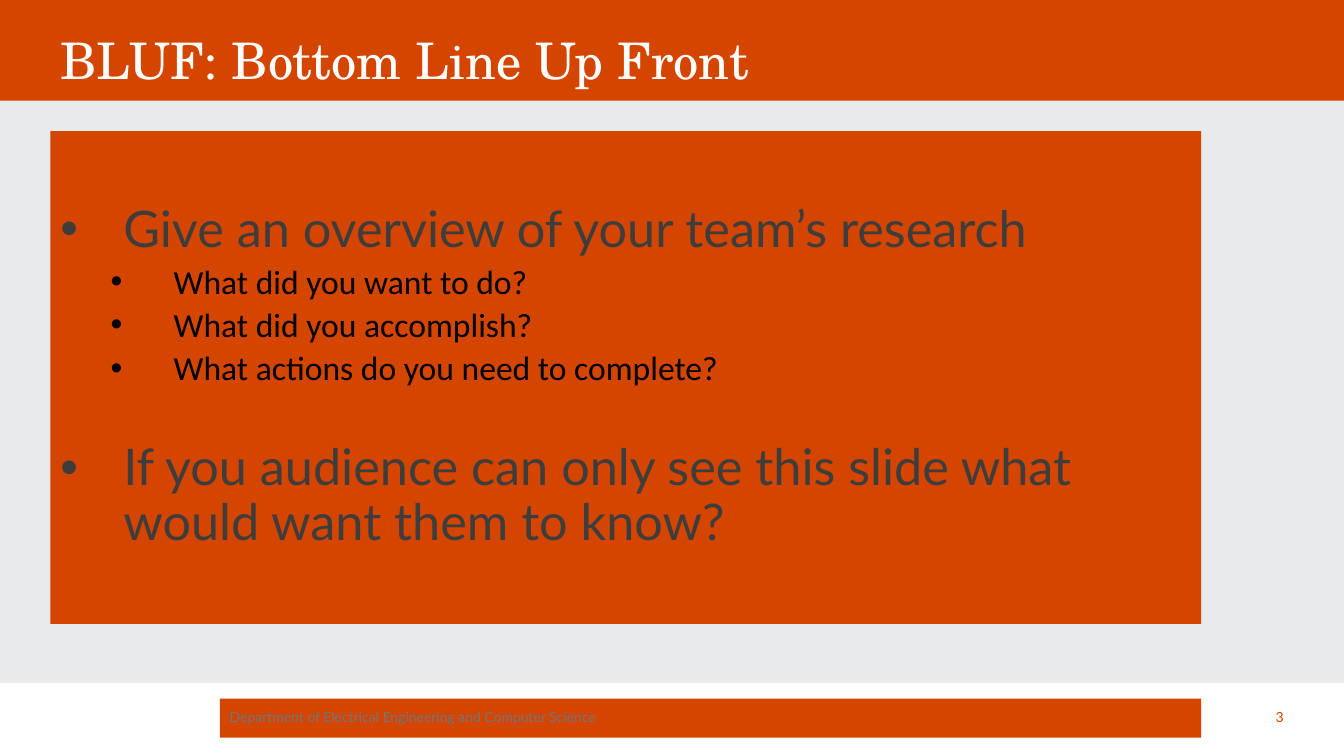
import pptx
import pptx.util
import pptx.dml.color
import pptx.enum.shapes
import pptx.enum.text
from lxml import etree

Pt = pptx.util.Pt
RGB = pptx.dml.color.RGBColor
ALIGN = pptx.enum.text.PP_ALIGN

ORANGE = RGB(0xD4, 0x45, 0x00)
WHITE = RGB(0xFF, 0xFF, 0xFF)
PALE = RGB(0xE8, 0xEA, 0xEB)
DARK = RGB(0x3E, 0x3D, 0x3C)
GREY = RGB(0x6F, 0x77, 0x7D)
BLACK = RGB(0x00, 0x00, 0x00)

WIDTH, HEIGHT = 960, 540
HEAD = 72
FOOT = 488
EDGE = 36
BODY = 822
HANG = 45

# level, space before, text
POINTS = [
    (0, 10, "Give an overview of your team’s research"),
    (1, 5, "What did you want to do?"),
    (1, 5, "What did you accomplish?"),
    (1, 5, "What actions do you need to complete?"),
    (0, 39, "If you audience can only see this slide what would want them to know?"),
]
# font, size, colour for each level
STYLES = [("Lato", 36, DARK), ("Calibri", 24, BLACK)]


def panel(slide, box, fill):
    shape = slide.shapes.add_shape(
        pptx.enum.shapes.MSO_SHAPE.RECTANGLE, *map(Pt, box))
    shape.shadow.inherit = False
    shape.fill.solid()
    shape.fill.fore_color.rgb = fill
    shape.line.fill.background()
    return shape


def frame(shape):
    """Return the text frame of a shape, wrapped and centred in height."""
    text = shape.text_frame
    text.word_wrap = True
    text.vertical_anchor = pptx.enum.text.MSO_ANCHOR.MIDDLE
    return text


def write(para, text, font, size, color, align=ALIGN.LEFT):
    para.text = text
    para.alignment = align
    para.line_spacing = 0.9
    para.font.name = font
    para.font.size = Pt(size)
    para.font.color.rgb = color


def bullet(para, level):
    para.level = level
    props = para._p.get_or_add_pPr()
    props.set("marL", str(Pt(HANG + EDGE * level)))
    props.set("indent", str(-Pt(HANG)))
    space = pptx.oxml.ns.qn
    font = etree.SubElement(props, space("a:buFont"))
    font.set("typeface", "Arial")
    mark = etree.SubElement(props, space("a:buChar"))
    mark.set("char", "•")


def backdrop(slide):
    panel(slide, (0, 0, WIDTH, HEIGHT), PALE)
    panel(slide, (0, 0, WIDTH, HEAD), ORANGE)
    panel(slide, (0, FOOT, WIDTH, HEIGHT - FOOT), WHITE)


def title(slide, box, text):
    para = frame(panel(slide, box, ORANGE)).paragraphs[0]
    write(para, text, "TeX Gyre Schola", 36, WHITE)


def content(slide, box, points):
    text = frame(panel(slide, box, ORANGE))
    for index, (level, gap, words) in enumerate(points):
        para = text.add_paragraph() if index else text.paragraphs[0]
        write(para, words, *STYLES[level])
        para.space_before = Pt(gap)
        bullet(para, level)


def footer(slide, box, text, number):
    """Place the footer bar in the box and the page number to its right."""
    left, top, width, height = box
    para = frame(panel(slide, box, ORANGE)).paragraphs[0]
    write(para, text, "Lato", 10, GREY)
    para.space_before = Pt(10)
    page = slide.shapes.add_textbox(
        *map(Pt, (left + width, top, 66, height)))
    write(frame(page).paragraphs[0], number, "Lato", 10, ORANGE, ALIGN.RIGHT)


def main():
    deck = pptx.Presentation()
    deck.slide_width, deck.slide_height = Pt(WIDTH), Pt(HEIGHT)
    slide = deck.slides.add_slide(deck.slide_layouts[6])
    backdrop(slide)
    title(slide, (EDGE, 20, WIDTH - 2 * EDGE, 50),
          "BLUF: Bottom Line Up Front")
    content(slide, (EDGE, 93.6, BODY, 352), POINTS)
    footer(slide, (157, 499, EDGE + BODY - 157, 28),
           "Department of Electrical Engineering and Computer Science", "3")
    deck.save("out.pptx")


if __name__ == "__main__":
    main()
